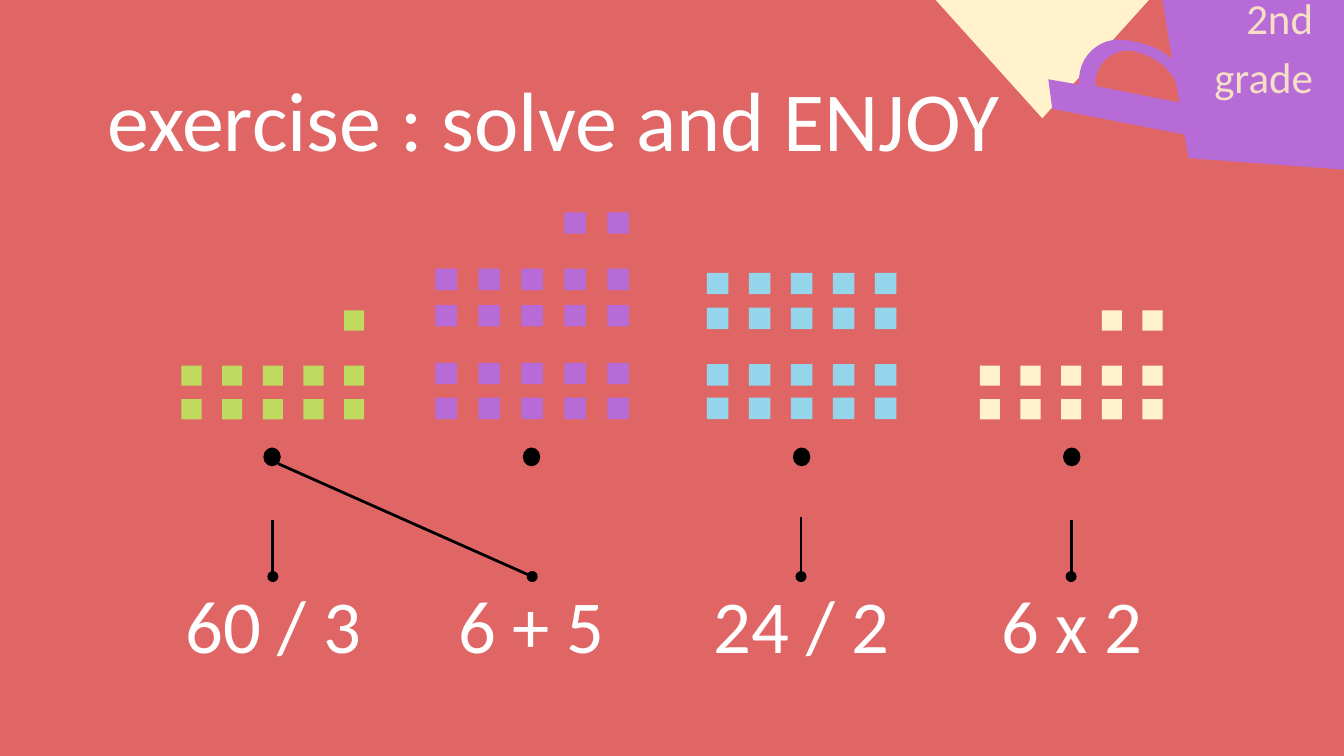
"""Build a maths matching slide with counting squares, dots and sums."""
import pptx
import pptx.dml.color
import pptx.enum.shapes
import pptx.enum.text
import pptx.util
from lxml import etree
from pptx.oxml.ns import qn

Inches = pptx.util.Inches
Pt = pptx.util.Pt
Rgb = pptx.dml.color.RGBColor.from_string
Kind = pptx.enum.shapes.MSO_SHAPE
Align = pptx.enum.text.PP_ALIGN
Anchor = pptx.enum.text.MSO_ANCHOR

theme = {
    "font": "Calibri",
    "back": "E06666", "white": "FFFFFF", "black": "000000", "peach": "F7DEC7",
    "plum": "B76BD6", "cream": "FFF2CC", "sky": "95D5EB", "lime": "BFDA5F",
    "title": 45, "sum": 40, "grade": 23, "line": 1.5,
}


def paint(shape, color):
    """Give a shape a flat fill with no outline or shadow."""
    shape.shadow.inherit = False
    shape.fill.solid()
    shape.fill.fore_color.rgb = Rgb(theme[color])
    shape.line.fill.background()


def write(shape, text, size, color, anchor, para):
    """Put styled text in a shape."""
    frame = shape.text_frame
    frame.text = text
    line = frame.paragraphs[0]
    looks = [
        (frame, {"word_wrap": True, "vertical_anchor": anchor,
                 "auto_size": pptx.enum.text.MSO_AUTO_SIZE.NONE,
                 **{f"margin_{side}": Inches(0.1)
                    for side in ("left", "right", "top", "bottom")}}),
        (line, para),
        (line.runs[0].font, {"name": theme["font"], "size": Pt(theme[size])}),
        (line.runs[0].font.color, {"rgb": Rgb(theme[color])}),
    ]
    for part, vals in looks:
        for key, val in vals.items():
            setattr(part, key, val)


deck = pptx.Presentation()
deck.slide_width, deck.slide_height = Inches(10), Inches(10 * 9 / 16)
slide = deck.slides.add_slide(deck.slide_layouts[5])
shapes = slide.shapes
slide.background.fill.solid()
slide.background.fill.fore_color.rgb = Rgb(theme["back"])

title = shapes.title
title.left, title.top, title.width, title.height = map(Inches, (0.7, 0.4, 8.44, 0.63))
write(title, "exercise : solve and ENJOY", "title", "white", Anchor.TOP,
      {"alignment": Align.LEFT})

corners = [
    (Kind.DIAMOND, (8.56, -0.57, 1.74, 2.21), 312.4, "plum"),
    (Kind.ISOSCELES_TRIANGLE, (6.89, -0.08, 1.73, 0.96), 180, "cream"),
]
for kind, box, turn, color in corners:
    shape = shapes.add_shape(kind, *map(Inches, box))
    shape.rotation = turn
    paint(shape, color)

blocks = [
    ("lime", 1.35, 2.56, 0.15, [(2.31, 1), (2.72, 5), (2.97, 5)]),
    ("plum", 3.24, 4.52, 0.16, [(1.58, 2), (2, 5), (2.27, 5), (2.7, 5), (2.96, 5)]),
    ("sky", 5.26, 6.51, 0.16, [(2.03, 5), (2.29, 5), (2.71, 5), (2.96, 5)]),
    ("cream", 7.29, 8.5, 0.15, [(2.31, 2), (2.72, 5), (2.97, 5)]),
]
for color, left, right, side, rows in blocks:
    group = shapes.add_group_shape()
    for top, count in rows:
        for col in range(5 - count, 5):
            x = left + col * (right - left) / 4
            box = map(Inches, (x, top, side, side))
            paint(group.shapes.add_shape(Kind.RECTANGLE, *box), color)

sums = [
    ("60 / 3", 1.23, 1.61, 1.96), ("6 + 5", 3.19, 1.53, 3.89),
    ("24 / 2", 5.2, 1.53, 5.9), ("6 x 2", 7.17, 1.61, 7.91),
]
for text, left, width, dot in sums:
    box = shapes.add_textbox(*map(Inches, (left, 4.29, width, 0.7)))
    write(box, text, "sum", "white", Anchor.MIDDLE, {"alignment": Align.CENTER})
    mark = shapes.add_shape(Kind.OVAL, *map(Inches, (dot, 3.33, 0.13, 0.14)))
    paint(mark, "black")

links = [(2.03, 3.87, 2.03), (2.07, 3.45, 3.96), (5.96, 3.85, 5.96), (7.97, 3.87, 7.97)]
for x, y, end in links:
    link = shapes.add_connector(pptx.enum.shapes.MSO_CONNECTOR.STRAIGHT,
                                *map(Inches, (x, y, end, 4.29)))
    link.line.color.rgb = Rgb(theme["black"])
    link.line.width = Pt(theme["line"])
    etree.SubElement(link.line._get_or_add_ln(), qn("a:tailEnd"), type="oval")
    etree.SubElement(link._element.spPr, qn("a:effectLst"))

rings = [
    [(8.53, 0.41), (8.67, 0.47, 8.77, 0.59, 8.8, 0.75), (8.81, 0.77), (8.15, 0.64),
     (8.14, 0.48, 8.28, 0.35, 8.44, 0.38), (8.47, 0.39, 8.5, 0.4, 8.53, 0.41)],
    [(8.58, 0.35), (8.55, 0.34, 8.52, 0.33, 8.49, 0.32), (8.39, 0.3),
     (8.19, 0.26, 8.01, 0.42, 8.03, 0.63), (7.8, 0.59), (7.83, 0.81), (9.17, 1.07),
     (9.15, 0.85), (8.91, 0.79), (8.89, 0.74), (8.86, 0.56, 8.74, 0.42, 8.58, 0.35)],
]
pen = None
for ring in rings:
    path = [ring[0]]
    for step in ring[1:]:
        if len(step) == 2:
            path.append(step)
            continue
        knots = [path[-1], step[:2], step[2:4], step[4:]]
        for t in (n / 12 for n in range(1, 13)):
            mix = ((1 - t) ** 3, 3 * t * (1 - t) ** 2, 3 * t * t * (1 - t), t ** 3)
            path.append(tuple(sum(m * k[i] for m, k in zip(mix, knots)) for i in (0, 1)))
    path = [(Inches(x), Inches(y)) for x, y in path]
    if pen is None:
        pen = shapes.build_freeform(*path[0])
    else:
        pen.move_to(*path[0])
    pen.add_line_segments(path[1:], close=True)
paint(pen.convert_to_shape(), "plum")

grade = shapes.add_textbox(*map(Inches, (8.53, 0.12, 1.34, 0.4)))
write(grade, "2nd grade", "grade", "peach", Anchor.MIDDLE,
      {"alignment": Align.RIGHT, "line_spacing": 1.15, "space_after": Pt(12)})

deck.save("out.pptx")
